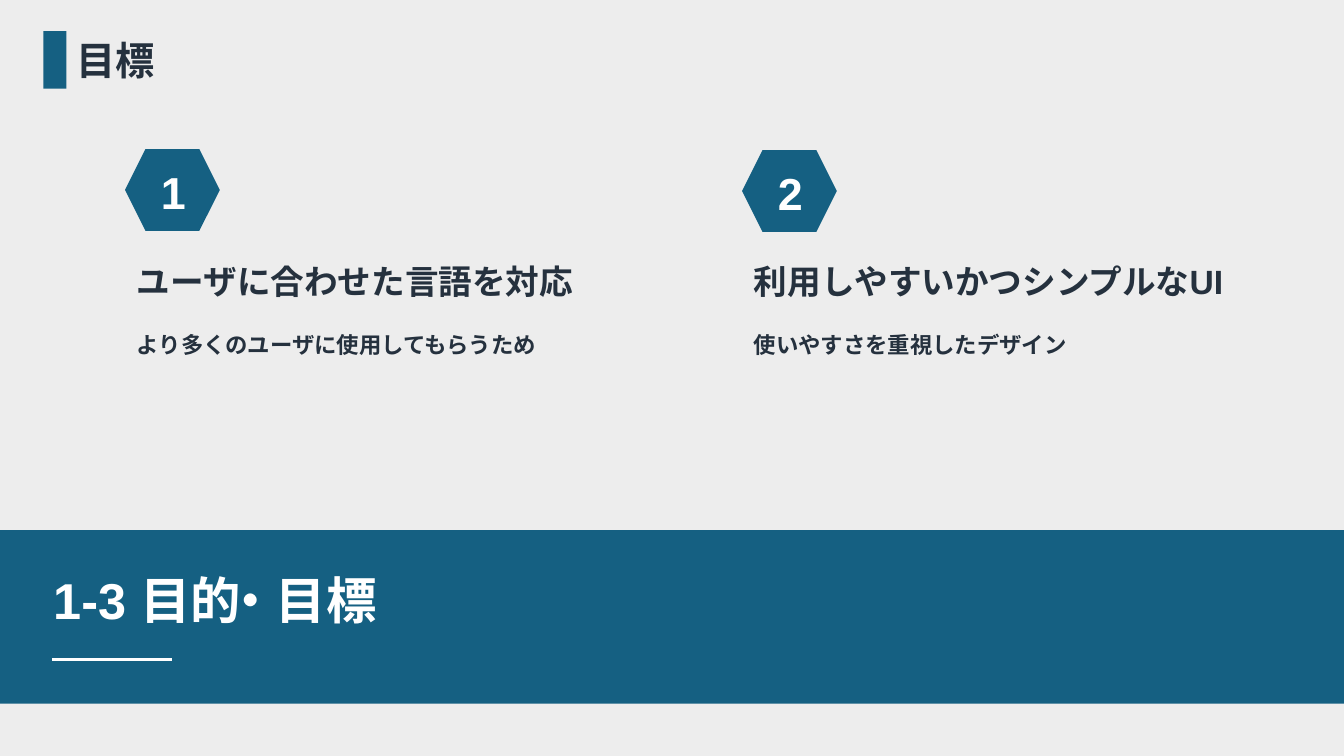
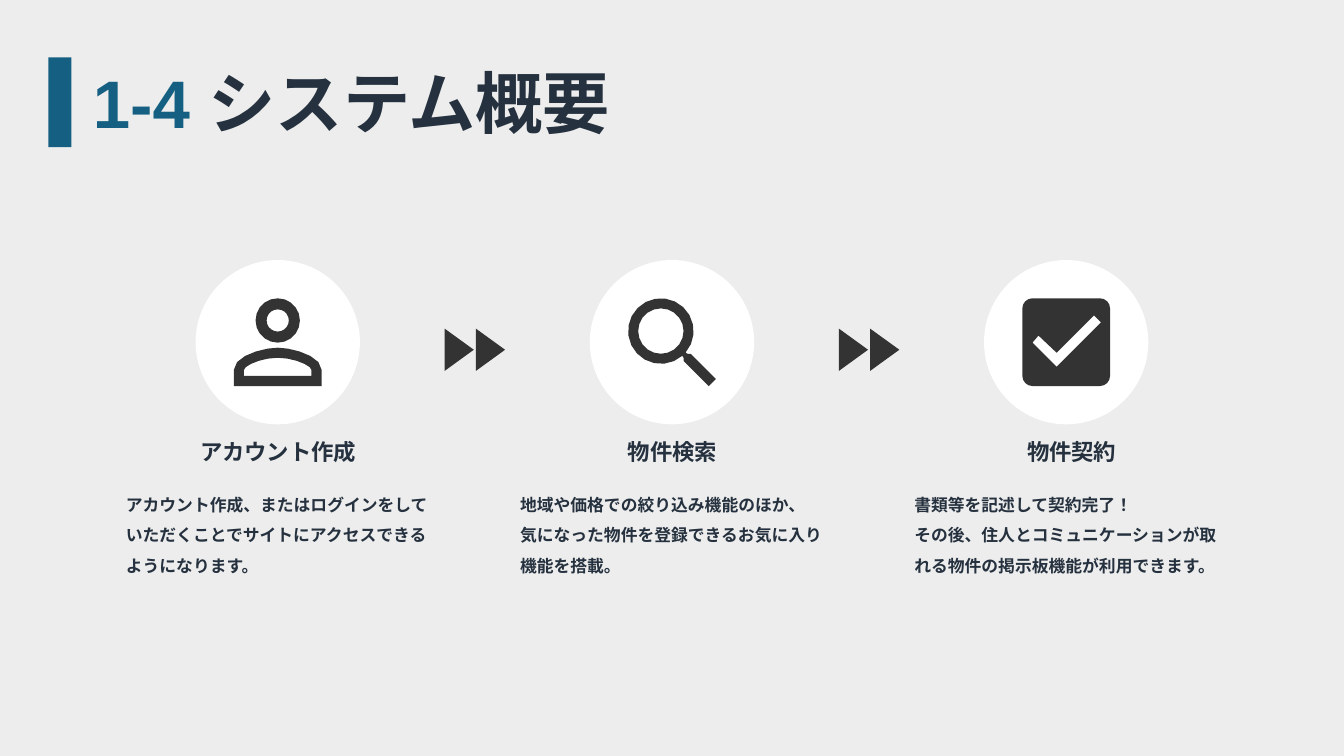
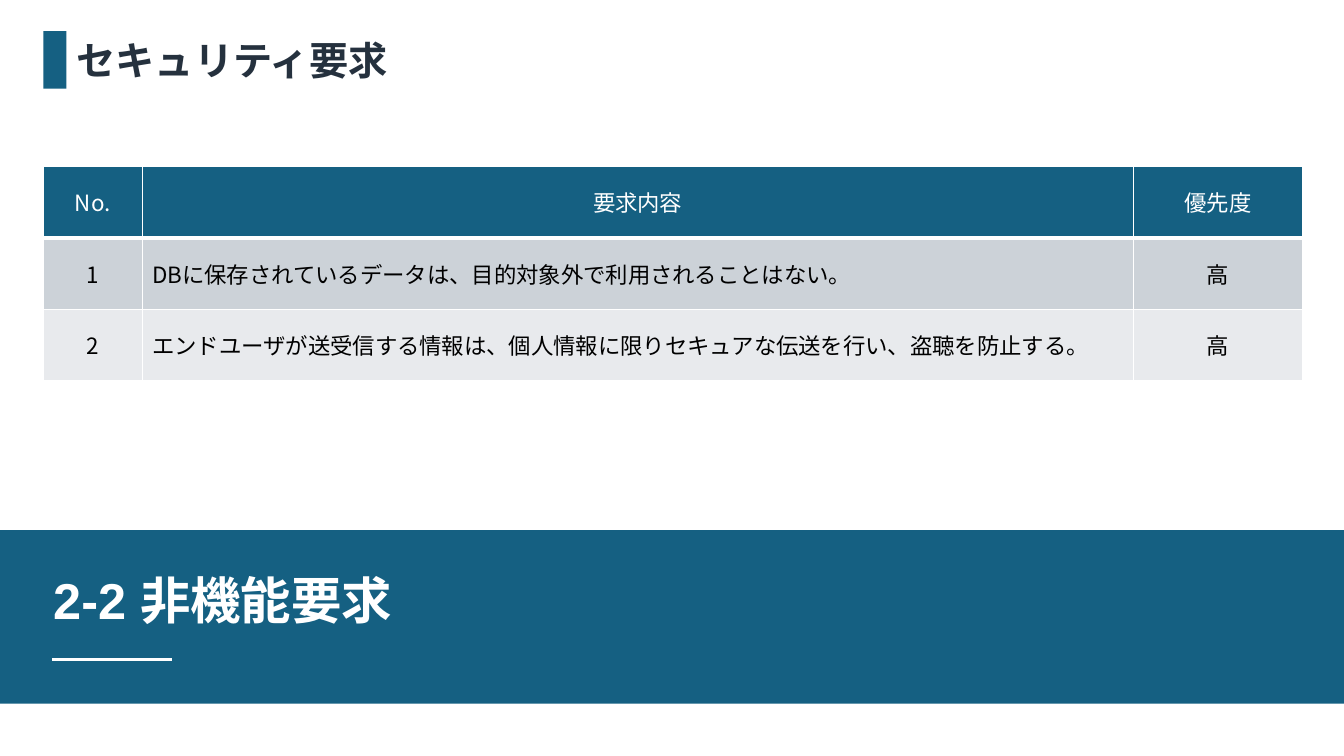
from math import cos, radians, sin

from pptx import Presentation
from pptx.dml.color import RGBColor
from pptx.enum.lang import MSO_LANGUAGE_ID as Language
from pptx.enum.shapes import MSO_CONNECTOR as Connector, MSO_SHAPE as Preset
from pptx.enum.text import MSO_ANCHOR as Anchor, MSO_AUTO_SIZE as AutoSize, PP_ALIGN as Align
from pptx.oxml.ns import qn
from pptx.oxml.xmlchemy import OxmlElement
from pptx.util import Inches, Pt

TEAL, NAVY, CHARCOAL = "156082", "25313E", "333333"
WHITE, BLACK, MIST = "FFFFFF", "000000", "EDEDED"
ROW_FILLS = [TEAL, "CCD2D8", "E8EAED"]
LATIN, JAPANESE = "Arial", "Noto Sans CJK JP"


def color(value):
    return RGBColor.from_string(value)


def inches(*lengths):
    return [Inches(length) for length in lengths]


def add_span(para, text, size, tint, font=LATIN, bold=True, tracking=0):
    span = para.add_run()
    span.text = text
    span.font.size = Pt(size)
    span.font.name = font
    span.font.bold = bold
    span.font.color.rgb = color(tint)
    span.font.language_id = Language.JAPANESE
    east_asian = OxmlElement("a:ea")
    east_asian.set("typeface", font)
    properties = span.font._element
    properties.find(qn("a:latin")).addnext(east_asian)
    if tracking:
        properties.set("spc", str(tracking * 100))


def write(frame, paragraphs, size, align=Align.LEFT, anchor=Anchor.TOP, spacing=None):
    frame.word_wrap = True
    frame.auto_size = AutoSize.NONE
    frame.vertical_anchor = anchor
    for index, spans in enumerate(paragraphs):
        para = frame.paragraphs[0] if index == 0 else frame.add_paragraph()
        para.alignment = align
        para.line_spacing = spacing
        for text, tint, *tracking in spans:
            add_span(para, text, size, tint, LATIN, True, *tracking)


def add_text(page, box, lines, size, tint=NAVY, **layout):
    frame = page.shapes.add_textbox(*inches(*box)).text_frame
    write(frame, [[(line, tint)] for line in lines], size, **layout)


def paint(shape, fill):
    shape.shadow.inherit = False
    shape.fill.solid()
    shape.fill.fore_color.rgb = color(fill)
    shape.line.fill.background()


def add_block(page, preset, box, fill):
    paint(page.shapes.add_shape(preset, *inches(*box)), fill)


def add_outline(page, left, top, contours, fill):
    placed = [[inches(left + x, top + y) for x, y in contour] for contour in contours]
    builder = page.shapes.build_freeform(*placed[0][0], scale=1)
    for index, points in enumerate(placed):
        if index:
            builder.move_to(*points[0])
        builder.add_line_segments(points[1:], close=True)
    paint(builder.convert_to_shape(), fill)


def arc(x, y, radius, start=0, end=360, steps=20):
    angles = [radians(start + (end - start) * step / steps) for step in range(steps + 1)]
    return [(x + radius * cos(angle), y + radius * sin(angle)) for angle in angles]


def circle(x, y, radius):
    return arc(x, y, radius)[:-1]


def curve(*controls, steps=5):
    points = []
    for step in range(steps + 1):
        t = step / steps
        weights = [(1 - t) ** 3, 3 * t * (1 - t) ** 2, 3 * t * t * (1 - t), t ** 3]
        points.append(tuple(sum(w * c[axis] for w, c in zip(weights, controls)) for axis in (0, 1)))
    return points


def shoulders(inset):
    left, right, top, bottom = inset, 0.87 - inset, 0.49 + inset, 0.87 - inset
    return (
        curve((left, 0.71), (left, 0.57 + inset), (0.29 - inset / 5, top), (0.435, top))
        + curve((0.435, top), (0.58 + inset / 5, top), (right, 0.57 + inset), (right, 0.71))[1:]
        + [(right, bottom), (left, bottom)]
    )


def rounded_square(size, radius):
    far = size - radius
    corners = [(far, far), (radius, far), (radius, radius), (far, radius)]
    return [
        point
        for turn, (x, y) in enumerate(corners)
        for point in arc(x, y, radius, turn * 90, turn * 90 + 90, 4)
    ]


PERSON = [circle(0.435, 0.22, 0.22), circle(0.435, 0.22, 0.11), shoulders(0), shoulders(0.1)]
HANDLE = [(0.55, 0.59), (0.55, 0.62), (0.8, 0.87), (0.87, 0.8), (0.62, 0.55), (0.59, 0.55)]
MAGNIFIER = [arc(0.325, 0.325, 0.325, 41, -311) + HANDLE, circle(0.325, 0.325, 0.225)]
TICK = [(0.34, 0.68), (0.1, 0.44), (0.16, 0.37), (0.34, 0.54), (0.71, 0.17), (0.78, 0.24)]
CHECKBOX = [rounded_square(0.87, 0.1), TICK]
FORWARD = [[(x, 0), (x + 0.29, 0.21), (x, 0.42)] for x in (0, 0.31)]


def add_page(deck, background, title_box, title_spans, size, bar_box):
    page = deck.slides.add_slide(deck.slide_layouts[5])
    page.background.fill.solid()
    page.background.fill.fore_color.rgb = color(background)
    title = page.shapes.title
    title.left, title.top, title.width, title.height = inches(*title_box)
    write(title.text_frame, [title_spans], size, anchor=Anchor.MIDDLE)
    add_block(page, Preset.RECTANGLE, bar_box, TEAL)
    return page


def add_section_page(deck, background, heading, section):
    page = add_page(deck, background, (0.66, 0.31, 5.43, 0.57), [(heading, NAVY)], 28,
                    (0.43, 0.31, 0.23, 0.57))
    add_band(page, 5.26, section)
    return page


def add_band(page, top, section):
    add_block(page, Preset.RECTANGLE, (0, top, 13.33, 1.72), TEAL)
    frame = page.shapes.add_textbox(*inches(0.43, top + 0.33, 5.87, 0.71)).text_frame
    write(frame, [section], 36, anchor=Anchor.MIDDLE)
    rule = page.shapes.add_connector(
        Connector.STRAIGHT, *inches(0.52, top + 1.28, 1.71, top + 1.28))
    rule.line.color.rgb = color(WHITE)
    rule.line.width = Pt(2.25)
    rule._element.spPr.append(OxmlElement("a:effectLst"))


def add_goal(page, left, top, number, heading, detail):
    add_block(page, Preset.HEXAGON, (left, top, 0.94, 0.81), TEAL)
    inner = left + 0.02
    add_text(page, (inner, top + 0.1, 0.92, 0.64), [number], 32, WHITE,
             align=Align.CENTER, anchor=Anchor.MIDDLE)
    add_text(page, (inner, 2.34, 5.07, 0.65), [heading], 24, spacing=1.5)
    add_text(page, (inner, 3.1, 4.83, 0.47), [detail], 16, spacing=1.5)


def add_step(page, left, top, icon, label_shift, label, lines):
    add_block(page, Preset.OVAL, (left + 0.79, top, 1.63, 1.63), WHITE)
    add_outline(page, left + 1.17, top + 0.38, icon, CHARCOAL)
    add_text(page, (left + 0.66 + label_shift, top + 1.72, 1.9, 0.37), [label], 16,
             align=Align.CENTER)
    add_text(page, (left, top + 2.18, 3.22, 0.98), lines, 12, spacing=1.5)


def add_border(cell, side, width):
    line = OxmlElement(f"a:{side}")
    line.set("w", str(Pt(width)))
    fill = OxmlElement("a:solidFill")
    tint = OxmlElement("a:srgbClr")
    tint.set("val", WHITE)
    fill.append(tint)
    line.append(fill)
    cell._tc.get_or_add_tcPr().append(line)


def fill_cell(cell, text, row, centered):
    top_width = 3 if row == 1 else 1
    bottom_width = 3 if row == 0 else 1
    for side, width in (("lnL", 1), ("lnR", 1), ("lnT", top_width), ("lnB", bottom_width)):
        add_border(cell, side, width)
    cell.fill.solid()
    cell.fill.fore_color.rgb = color(ROW_FILLS[row])
    cell.vertical_anchor = Anchor.MIDDLE
    para = cell.text_frame.paragraphs[0]
    para.alignment = Align.CENTER if centered else Align.LEFT
    add_span(para, text, 16, BLACK if row else WHITE, JAPANESE, False)


def add_requirements(page, left, top, widths, row_height, rows):
    box = inches(left, top, sum(widths), row_height * len(rows))
    table = page.shapes.add_table(len(rows), len(widths), *box).table
    for column, width in zip(table.columns, widths):
        column.width = Inches(width)
    for row, texts in enumerate(rows):
        table.rows[row].height = Inches(row_height)
        for column, text in enumerate(texts):
            fill_cell(table.cell(row, column), text, row, row == 0 or column != 1)


def build_goals(deck):
    section = [("1-3 目", WHITE), ("的・", WHITE, -11), ("目標", WHITE)]
    page = add_section_page(deck, MIST, "目標", section)
    goals = [
        ("ユーザに合わせた言語を対応", "より多くのユーザに使用してもらうため"),
        ("利用しやすいかつシンプルなUI", "使いやすさを重視したデザイン"),
    ]
    for index, (heading, detail) in enumerate(goals):
        add_goal(page, 1.24 + 6.12 * index, 1.48 + 0.01 * index, str(index + 1), heading, detail)


def build_overview(deck):
    page = add_page(deck, MIST, (0.82, 0.55, 6.28, 0.91),
                    [("1-4 ", TEAL), ("システム概要", NAVY)], 48, (0.48, 0.57, 0.23, 0.89))
    steps = [
        (PERSON, 0, "アカウント作成",
         ["アカウント作成、またはログインをしていただくことでサイトにアクセスできるようになります。"]),
        (MAGNIFIER, 0, "物件検索",
         ["地域や価格での絞り込み機能のほか、", "気になった物件を登録できるお気に入り機能を搭載。"]),
        (CHECKBOX, 0.05, "物件契約",
         ["書類等を記述して契約完了！", "その後、住人とコミュニケーションが取れる物件の掲示板機能が利用できます。"]),
    ]
    for index, step in enumerate(steps):
        left = 1.15 + 3.91 * index
        add_step(page, left, 2.58, *step)
        if index < len(steps) - 1:
            add_outline(page, left + 3.26, 3.26, FORWARD, CHARCOAL)


def build_security(deck):
    page = add_section_page(deck, WHITE, "セキュリティ要求", [("2-2 非機能要求", WHITE)])
    add_requirements(page, 0.43, 1.65, [0.98, 9.83, 1.68], 0.71, [
        ("No.", "要求内容", "優先度"),
        ("1", "DBに保存されているデータは、目的対象外で利用されることはない。", "高"),
        ("2", "エンドユーザが送受信する情報は、個人情報に限りセキュアな伝送を行い、盗聴を防止する。", "高"),
    ])


def main():
    deck = Presentation()
    deck.slide_width, deck.slide_height = inches(13.33, 7.5)
    build_goals(deck)
    build_overview(deck)
    build_security(deck)
    deck.save("out.pptx")


if __name__ == "__main__":
    main()
